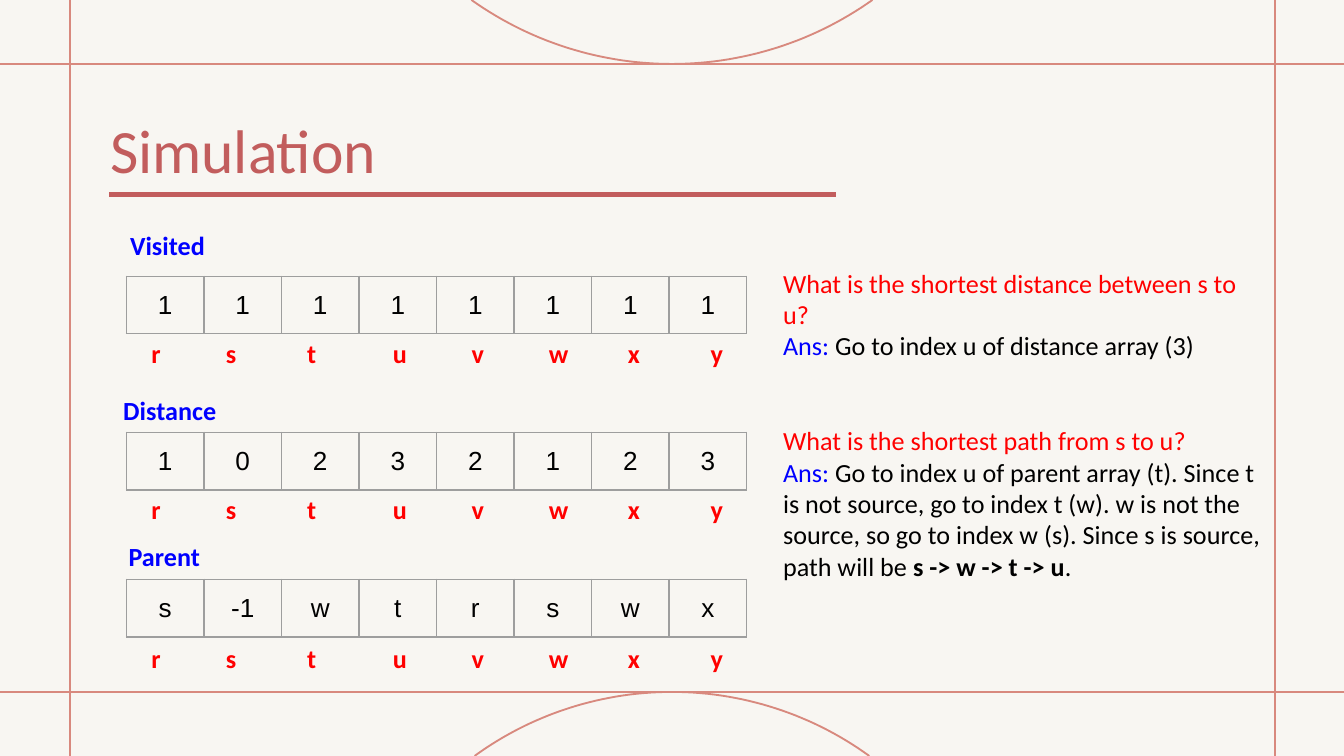
import math

from lxml import etree
from pptx import Presentation
from pptx.dml.color import RGBColor
from pptx.enum.shapes import MSO_CONNECTOR
from pptx.enum.text import MSO_ANCHOR, MSO_AUTO_SIZE, PP_ALIGN
from pptx.oxml.ns import qn
from pptx.util import Cm, Pt

STRAIGHT = MSO_CONNECTOR.STRAIGHT
TOP, MIDDLE = MSO_ANCHOR.TOP, MSO_ANCHOR.MIDDLE
LEFT, CENTER = PP_ALIGN.LEFT, PP_ALIGN.CENTER
NO_FIT = MSO_AUTO_SIZE.NONE

# Colours, fonts and sizes
THEME = {
    "paper": "F8F6F2", "frame": "D8897E", "accent": "C25D5D", "grid": "9E9E9E",
    "red": "FF0000", "blue": "0000FF", "black": "000000",
    "text_font": "Calibri", "cell_font": "Arial",
    "title_size": 33, "text_size": 14,
}
SLIDE_W, SLIDE_H = 25.4, 14.29
INSET = 0.25

# Arrays: name, name position, values, table top, index row top
VERTICES = "rstuvwxy"
ARRAYS = [
    ("Visited", (2.21, 4.09), "1 1 1 1 1 1 1 1", 5.22, 6.12),
    ("Distance", (2.08, 7.21), "1 0 2 3 2 1 2 3", 8.17, 9.07),
    ("Parent", (2.18, 9.96), "s -1 w t r s w x", 10.95, 11.89),
]
TABLE_LEFT, TABLE_W, ROW_H = 2.39, 11.72, 1.09
INDEX_TABS = [0.31, 1.73, 3.25, 4.92, 6.39, 7.92, 9.34, 10.91]

# Each paragraph: space before in points, then runs of text, colour, bold
ANSWERS = [
    (0, [("What is the shortest distance between s to u?", "red", False)]),
    (0, [("Ans:", "blue", False),
         (" Go to index u of distance array (3)", "black", False)]),
    (34, [("What is the shortest path from s to u?", "red", False)]),
    (0, [("Ans:", "blue", False),
         (" Go to index u of parent array (t). Since t is not source, go to index t (w). "
          "w is not the source, so go to index w (s). Since s is source,", "black", False)]),
    (0, [("path will be ", "black", False),
         ("s -> w -> t -> u", "black", True), (".", "black", False)]),
]


def rgb(name):
    return RGBColor.from_string(THEME[name])


def set_attrs(obj, values):
    for key, value in values.items():
        setattr(obj, key, value)


def add_run(p, text, color, bold=False, font="text_font", size="text_size"):
    r = p.add_run()
    r.text = text
    set_attrs(r.font, {"name": THEME[font], "size": Pt(THEME[size]), "bold": bold})
    r.font.color.rgb = rgb(color)


def format_frame(tf, inset):
    margins = ("margin_left", "margin_top", "margin_right", "margin_bottom")
    set_attrs(tf, dict.fromkeys(margins, Cm(inset)))
    set_attrs(tf, {"word_wrap": True, "auto_size": NO_FIT, "vertical_anchor": TOP})


def add_text(s, left, top, width, height):
    sp = s.shapes.add_textbox(Cm(left), Cm(top), Cm(width), Cm(height))
    format_frame(sp.text_frame, INSET)
    return sp.text_frame


def add_line(s, x1, y1, x2, y2, color, weight):
    line = s.shapes.add_connector(STRAIGHT, Cm(x1), Cm(y1), Cm(x2), Cm(y2))
    line.line.color.rgb = rgb(color)
    line.line.width = Pt(weight)
    etree.SubElement(line._element.spPr, qn("a:effectLst"))


def add_arc(s, edge_y, peak_y, half_chord):
    """Circular arc from the slide edge to its peak on a frame line."""
    sag = abs(peak_y - edge_y)
    radius = (half_chord ** 2 + sag ** 2) / (2 * sag)
    toward = math.copysign(1, peak_y - edge_y)
    reach = math.asin(half_chord / radius)
    steps = 60
    points = []
    for i in range(steps + 1):
        angle = reach * (2 * i / steps - 1)
        points.append((Cm(SLIDE_W / 2 + radius * math.sin(angle)),
                       Cm(peak_y - toward * radius * (1 - math.cos(angle)))))
    builder = s.shapes.build_freeform(*points[0])
    builder.add_line_segments(points[1:], close=False)
    sp = builder.convert_to_shape()
    sp.shadow.inherit = False
    sp.fill.background()
    sp.line.color.rgb = rgb("frame")
    sp.line.width = Pt(1)


def add_frame(s):
    top, bottom, left, right = 1.21, 13.08, 1.32, 24.09
    for y in (bottom, top):
        add_line(s, 0, y, SLIDE_W, y, "frame", 1)
    for x in (right, left):
        add_line(s, x, 0, x, SLIDE_H, "frame", 1)
    add_arc(s, 0, top, 3.79)
    add_arc(s, SLIDE_H, bottom, 3.73)


def add_title(s, text):
    sp = s.shapes.title
    set_attrs(sp, {"left": Cm(2.08), "top": Cm(2.11), "width": Cm(13.87), "height": Cm(1.42)})
    format_frame(sp.text_frame, 0)
    p = sp.text_frame.paragraphs[0]
    p.alignment = LEFT
    add_run(p, text, "accent", size="title_size")
    add_line(s, 2.06, 3.68, 15.8, 3.68, "accent", 3)


def set_borders(cell):
    tc_pr = cell._tc.get_or_add_tcPr()
    for side in ("a:lnL", "a:lnR", "a:lnT", "a:lnB"):
        ln = etree.SubElement(tc_pr, qn(side), w=str(Pt(0.75)))
        fill = etree.SubElement(ln, qn("a:solidFill"))
        etree.SubElement(fill, qn("a:srgbClr"), val=THEME["grid"])


def add_array_table(s, top, values):
    table = s.shapes.add_table(1, len(values), Cm(TABLE_LEFT), Cm(top),
                               Cm(TABLE_W), Cm(ROW_H)).table
    set_attrs(table, {"first_row": False, "horz_banding": False})
    margins = ("margin_left", "margin_top", "margin_right", "margin_bottom")
    for cell, value in zip(table.iter_cells(), values):
        set_attrs(cell, dict.fromkeys(margins, Cm(INSET)))
        cell.vertical_anchor = MIDDLE
        set_borders(cell)
        cell.fill.background()
        p = cell.text_frame.paragraphs[0]
        p.alignment = CENTER
        add_run(p, value, "black", font="cell_font")


def add_index_row(s, top):
    p = add_text(s, TABLE_LEFT, top, 12.2, 1.12).paragraphs[0]
    tabs = etree.SubElement(p._p.get_or_add_pPr(), qn("a:tabLst"))
    for stop in INDEX_TABS:
        etree.SubElement(tabs, qn("a:tab"), pos=str(Cm(stop)), algn="ctr")
    add_run(p, "".join("\t" + vertex for vertex in VERTICES), "red", bold=True)


def add_answers(s):
    tf = add_text(s, 14.55, 4.8, 9.58, 6.5)
    for i, (space, runs) in enumerate(ANSWERS):
        p = tf.add_paragraph() if i else tf.paragraphs[0]
        p.space_before = Pt(space)
        for text, color, bold in runs:
            add_run(p, text, color, bold)


def main():
    prs = Presentation()
    set_attrs(prs, {"slide_width": Cm(SLIDE_W), "slide_height": Cm(SLIDE_H)})
    s = prs.slides.add_slide(prs.slide_layouts[5])

    # Background, frame and title
    s.background.fill.solid()
    s.background.fill.fore_color.rgb = rgb("paper")
    add_frame(s)
    add_title(s, "Simulation")

    # Arrays with their names and indices
    for name, (left, name_top), values, table_top, index_top in ARRAYS:
        add_text(s, left, name_top, 3, 1.12)
        add_run(s.shapes[-1].text_frame.paragraphs[0], name, "blue", bold=True)
        add_array_table(s, table_top, values.split())
        add_index_row(s, index_top)

    # Questions and answers
    add_answers(s)
    prs.save("out.pptx")


if __name__ == "__main__":
    main()
